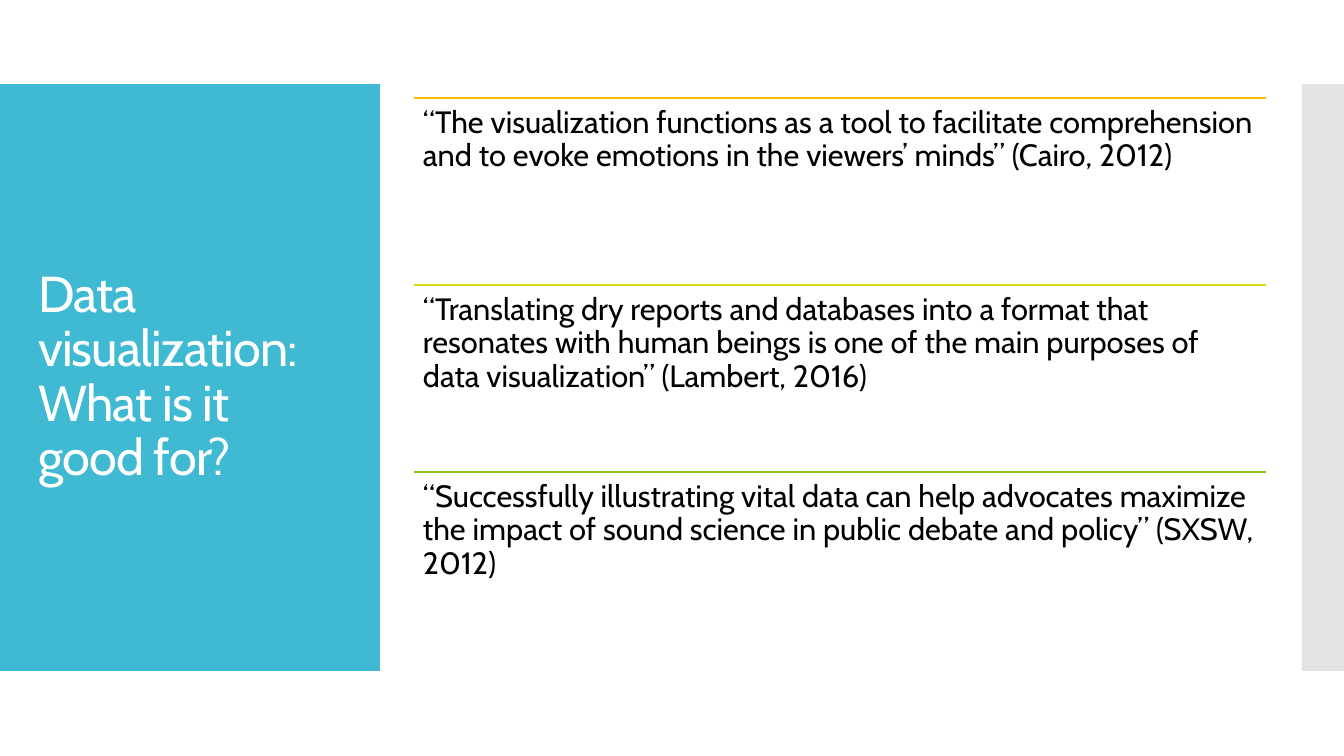
from lxml import etree
from pptx import Presentation
from pptx.dml.color import RGBColor
from pptx.enum.shapes import MSO_CONNECTOR, MSO_SHAPE
from pptx.enum.text import MSO_ANCHOR, MSO_AUTO_SIZE, PP_ALIGN
from pptx.oxml.ns import qn
from pptx.util import Emu, Pt

RECTANGLE = MSO_SHAPE.RECTANGLE
STRAIGHT = MSO_CONNECTOR.STRAIGHT
MIDDLE, TOP = MSO_ANCHOR.MIDDLE, MSO_ANCHOR.TOP
LEFT = PP_ALIGN.LEFT
NO_AUTOFIT = MSO_AUTO_SIZE.NONE

EMU_PER_PX = 914400 / 100.8
FONT = "Cabin"
TITLE_ONLY = 5

BAND_TOP, BAND_HEIGHT = 84, 587
QUOTE_LEFT, QUOTE_TOP = 414, 98
QUOTE_WIDTH, QUOTE_HEIGHT = 852, 187
QUOTE_INSET = 9

TITLE = "Data visualization: What is it good for?"
QUOTES = [
    ("FAB900", "“The visualization functions as a tool to facilitate comprehension "
               "and to evoke emotions in the viewers’ minds” (Cairo, 2012)"),
    ("D7D913", "“Translating dry reports and databases into a format that resonates with "
               "human beings is one of the main purposes of data visualization” (Lambert, 2016)"),
    ("90BB23", "“Successfully illustrating vital data can help advocates maximize the "
               "impact of sound science in public debate and policy” (SXSW, 2012)"),
]


def px(length):
    return Emu(round(length * EMU_PER_PX))


def color(hex_string):
    return RGBColor.from_string(hex_string)


def add_band(slide, left, width, fill, opacity=100):
    band = slide.shapes.add_shape(
        RECTANGLE, px(left), px(BAND_TOP), px(width), px(BAND_HEIGHT))
    band.shadow.inherit = False
    band.line.fill.background()
    band.fill.solid()
    band.fill.fore_color.rgb = color(fill)
    if opacity < 100:
        tint = band.fill._xPr.find(".//" + qn("a:srgbClr"))
        etree.SubElement(tint, qn("a:alpha"), val=str(opacity * 1000))


def write_text(frame, text, size, text_color, anchor):
    """Fill a frame with one left-aligned paragraph and return its span."""
    frame.word_wrap = True
    frame.auto_size = NO_AUTOFIT
    frame.vertical_anchor = anchor
    para = frame.paragraphs[0]
    para.alignment = LEFT
    para.line_spacing = 0.9
    span = para.add_run()
    span.text = text
    span.font.name = FONT
    span.font.size = Pt(size)
    span.font.color.rgb = color(text_color)
    return span


def place_title(slide):
    """Put the title over the blue band, in front of it."""
    title = slide.shapes.title
    title.left, title.top = px(28), px(124)
    title.width, title.height = px(325), px(507)
    span = write_text(title.text_frame, TITLE, 36, "FFFFFF", MIDDLE)
    span.font._element.set("spc", "-60")
    slide.shapes._spTree.append(title._element)


def add_rule(slide, top, line_color):
    rule = slide.shapes.add_connector(
        STRAIGHT, px(QUOTE_LEFT), px(top), px(QUOTE_LEFT + QUOTE_WIDTH), px(top))
    rule.line.color.rgb = color(line_color)
    rule.line.width = Pt(0.85)
    etree.SubElement(rule._element.spPr, qn("a:effectLst"))


def add_quote(slide, top, line_color, text):
    add_rule(slide, top, line_color)
    box = slide.shapes.add_textbox(
        px(QUOTE_LEFT), px(top), px(QUOTE_WIDTH), px(QUOTE_HEIGHT))
    frame = box.text_frame
    frame.margin_left = frame.margin_right = px(QUOTE_INSET)
    frame.margin_top = frame.margin_bottom = px(QUOTE_INSET)
    write_text(frame, text, 22, "000000", TOP)


def main():
    deck = Presentation()
    deck.slide_width, deck.slide_height = px(1344), px(756)
    slide = deck.slides.add_slide(deck.slide_layouts[TITLE_ONLY])
    add_band(slide, 0, 380, "40BAD2")
    add_band(slide, 1302, 42, "C8C8C8", opacity=50)
    place_title(slide)
    for row, (line_color, text) in enumerate(QUOTES):
        add_quote(slide, QUOTE_TOP + row * QUOTE_HEIGHT, line_color, text)
    deck.save("out.pptx")


if __name__ == "__main__":
    main()
